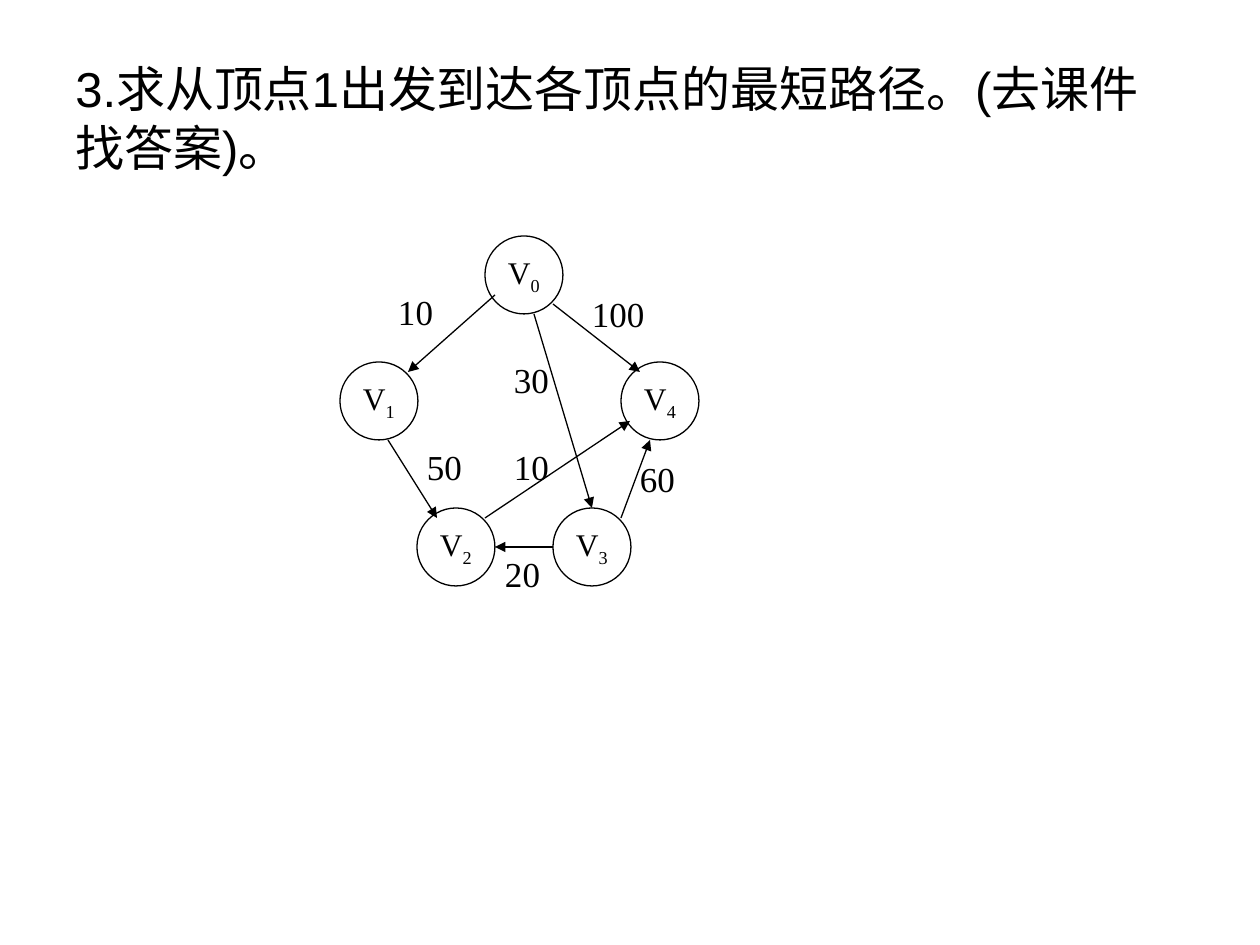
from dataclasses import dataclass

from lxml.etree import SubElement
from pptx import Presentation
from pptx.dml.color import RGBColor
from pptx.enum.shapes import MSO_CONNECTOR as Connector, MSO_SHAPE as Shape
from pptx.enum.text import MSO_ANCHOR as Anchor, MSO_AUTO_SIZE as AutoSize, PP_ALIGN as Align
from pptx.oxml.ns import qn
from pptx.util import Emu, Pt

EMU_PER_PIXEL = 914400 / 126


def px(pixels):
    return Emu(round(pixels * EMU_PER_PIXEL))


@dataclass(frozen=True)
class Theme:
    ink: RGBColor = RGBColor(0, 0, 0)
    title_font: str = "Arial"
    graph_font: str = "Times New Roman"
    title_size: int = 28
    node_size: int = 18
    weight_size: int = 20
    line_width: float = 0.75
    subscript: str = "-25000"


class GraphSlide:
    def __init__(self, page, theme):
        self.page = page
        self.theme = theme
        self.graph = page.shapes.add_group_shape().shapes

    def span(self, para, text, font, size):
        span = para.add_run()
        span.text = text
        span.font.name = font
        span.font.size = Pt(size)
        span.font.color.rgb = self.theme.ink
        return span

    def insets(self, frame):
        frame.margin_left = frame.margin_right = px(10)
        frame.margin_top = frame.margin_bottom = px(5)

    def outline(self, line):
        line.color.rgb = self.theme.ink
        line.width = Pt(self.theme.line_width)

    def title(self, text, left, top, width, height):
        box = self.page.shapes.add_textbox(px(left), px(top), px(width), px(height))
        frame = box.text_frame
        frame.word_wrap = True
        frame.vertical_anchor = Anchor.MIDDLE
        self.span(frame.paragraphs[0], text, self.theme.title_font, self.theme.title_size)

    def node(self, index, center_x, center_y, diameter):
        left, top = center_x - diameter / 2, center_y - diameter / 2
        circle = self.graph.add_shape(Shape.OVAL, px(left), px(top), px(diameter), px(diameter))
        circle.shadow.inherit = False
        circle.fill.background()
        self.outline(circle.line)
        frame = circle.text_frame
        frame.word_wrap = False
        frame.vertical_anchor = Anchor.MIDDLE
        self.insets(frame)
        para = frame.paragraphs[0]
        para.alignment = Align.CENTER
        style = self.theme.graph_font, self.theme.node_size
        self.span(para, "V", *style)
        number = self.span(para, str(index), *style)
        number.font._element.set("baseline", self.theme.subscript)

    def arrow(self, *ends):
        edge = self.graph.add_connector(Connector.STRAIGHT, *map(px, ends))
        self.outline(edge.line)
        SubElement(edge.line._get_or_add_ln(), qn("a:tailEnd"), type="triangle")
        SubElement(edge._element.spPr, qn("a:effectLst"))

    def weight(self, text, left, top, width, height):
        box = self.graph.add_textbox(px(left), px(top), px(width), px(height))
        frame = box.text_frame
        frame.word_wrap = True
        frame.auto_size = AutoSize.SHAPE_TO_FIT_TEXT
        self.insets(frame)
        self.span(frame.paragraphs[0], text, self.theme.graph_font, self.theme.weight_size)


# Deck and page
deck = Presentation()
deck.slide_width, deck.slide_height = px(1260), px(945)
slide = GraphSlide(deck.slides.add_slide(deck.slide_layouts[6]), Theme())

# Question
slide.title("3.求从顶点1出发到达各顶点的最短路径。(去课件找答案)。", 63, 38, 1134, 158)

# Vertices: index and centre
NODE_DIAMETER = 78
VERTICES = [(0, 524, 275), (1, 379, 401), (4, 660, 401), (2, 456, 547), (3, 592, 547)]
for vertex in VERTICES:
    slide.node(*vertex, NODE_DIAMETER)

# Directed edges: start and end points
EDGES = [
    (534, 314, 592, 508),
    (553, 304, 640, 372),
    (495, 295, 408, 372),
    (388, 440, 437, 518),
    (485, 518, 630, 421),
    (621, 518, 650, 440),
    (553, 547, 495, 547),
]
for edge_ends in EDGES:
    slide.arrow(*edge_ends)

# Edge weights: text, left and top
WEIGHT_WIDTH, WEIGHT_HEIGHT = 87, 52
WEIGHTS = [
    ("10", 388, 285),
    ("100", 582, 287),
    ("60", 630, 452),
    ("20", 495, 547),
    ("50", 417, 440),
    ("10", 504, 440),
    ("30", 504, 353),
]
for weight in WEIGHTS:
    slide.weight(*weight, WEIGHT_WIDTH, WEIGHT_HEIGHT)

deck.save("out.pptx")
